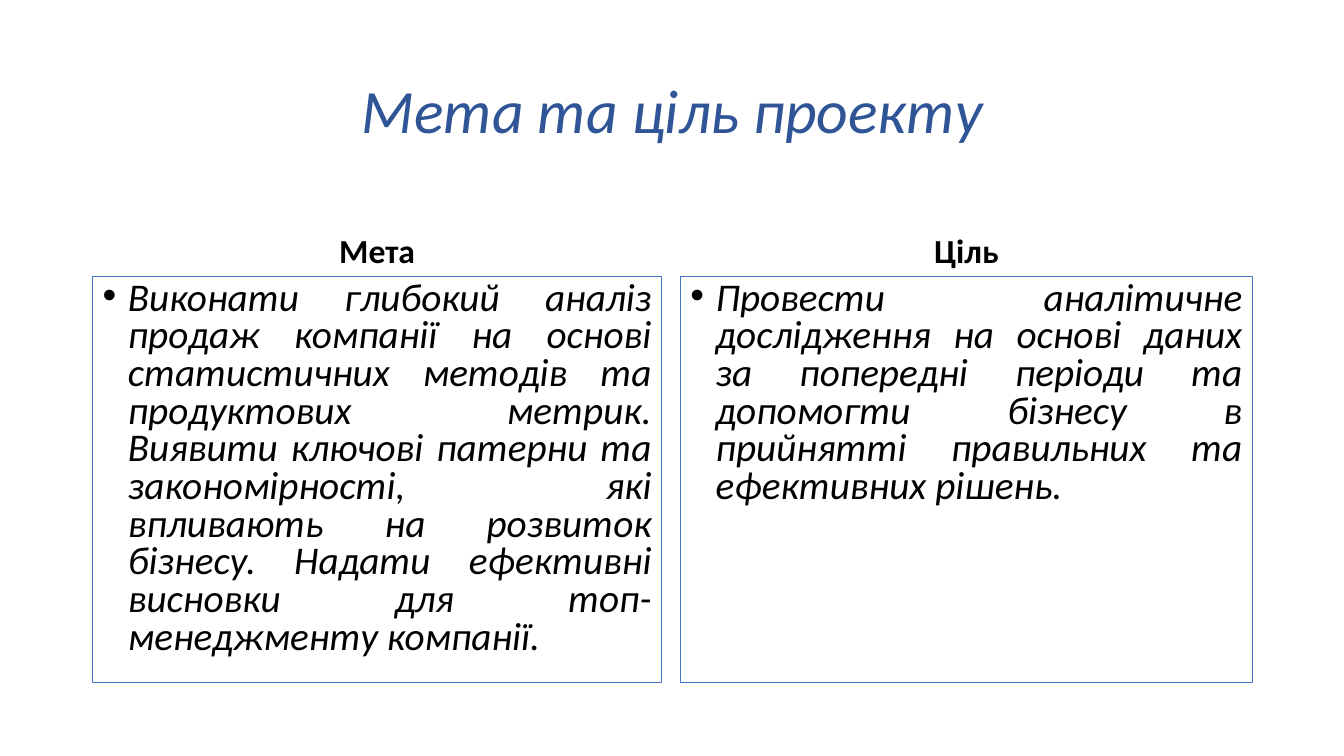
from dataclasses import dataclass
from typing import Any

from lxml.etree import SubElement
from pptx import Presentation
from pptx.dml.color import RGBColor
from pptx.enum.text import MSO_ANCHOR, PP_ALIGN
from pptx.oxml.ns import qn
from pptx.util import Inches, Pt

COLORS = {"title": "2F5597", "text": "000000", "border": "4472C4"}
FONT = "Calibri"


@dataclass(frozen=True)
class TextStyle:
    color: str
    font: dict[str, Any]
    paragraph: dict[str, Any]
    anchor: MSO_ANCHOR
    boxed: bool = False
    bullet: bool = False


@dataclass(frozen=True)
class Column:
    left: float
    width: float
    heading: str
    body: str


TITLE = TextStyle(
    "title",
    {"size": Pt(44), "italic": True},
    {"alignment": PP_ALIGN.CENTER, "line_spacing": 0.9},
    MSO_ANCHOR.MIDDLE,
)
HEADING = TextStyle(
    "text",
    {"size": Pt(24), "bold": True},
    {"alignment": PP_ALIGN.CENTER, "line_spacing": 0.9, "space_before": Pt(10)},
    MSO_ANCHOR.BOTTOM,
)
BODY = TextStyle(
    "text",
    {"size": Pt(28), "italic": True},
    {"alignment": PP_ALIGN.JUSTIFY, "line_spacing": 0.8, "space_before": Pt(10)},
    MSO_ANCHOR.TOP,
    boxed=True,
    bullet=True,
)

COLUMNS = [
    Column(
        0.92, 5.64, "Мета",
        "Виконати глибокий аналіз продаж компанії на основі статистичних методів "
        "та продуктових метрик. Виявити ключові патерни та закономірності, які "
        "впливають на розвиток бізнесу. Надати ефективні висновки для "
        "топ-менеджменту компанії.",
    ),
    Column(
        6.75, 5.67, "Ціль",
        "Провести аналітичне дослідження на основі даних за попередні періоди та "
        "допомогти бізнесу в прийнятті правильних та ефективних рішень.",
    ),
]


def apply_format(target: Any, values: dict[str, Any]) -> None:
    for name, value in values.items():
        setattr(target, name, value)


def add_bullet(para: Any) -> None:
    properties = para._p.get_or_add_pPr()
    properties.set("marL", str(Inches(0.25)))
    properties.set("indent", str(Inches(-0.25)))
    SubElement(properties, qn("a:buFont"), typeface="Arial")
    SubElement(properties, qn("a:buChar"), char="•")


def add_text(page: Any, left: float, top: float, width: float, height: float,
             text: str, style: TextStyle) -> None:
    box = page.shapes.add_textbox(*map(Inches, (left, top, width, height)))
    apply_format(box.text_frame, {"word_wrap": True, "vertical_anchor": style.anchor})
    if style.boxed:
        box.line.color.rgb = RGBColor.from_string(COLORS["border"])
        box.line.width = Pt(0.75)
    para = box.text_frame.paragraphs[0]
    apply_format(para, style.paragraph)
    if style.bullet:
        add_bullet(para)
    span = para.add_run()
    span.text = text
    apply_format(span.font, {"name": FONT, **style.font})
    span.font.color.rgb = RGBColor.from_string(COLORS[style.color])


def main() -> None:
    deck = Presentation()
    apply_format(deck, {"slide_width": Inches(13.33), "slide_height": Inches(7.5)})
    page = deck.slides.add_slide(deck.slide_layouts[6])

    # Title
    add_text(page, 0.92, 0.4, 11.5, 1.45, "Мета та ціль проекту", TITLE)

    # Two columns: heading above a bordered text
    for column in COLUMNS:
        add_text(page, column.left, 1.84, column.width, 0.9, column.heading, HEADING)
        add_text(page, column.left, 2.74, column.width, 4.03, column.body, BODY)

    deck.save("out.pptx")


if __name__ == "__main__":
    main()
